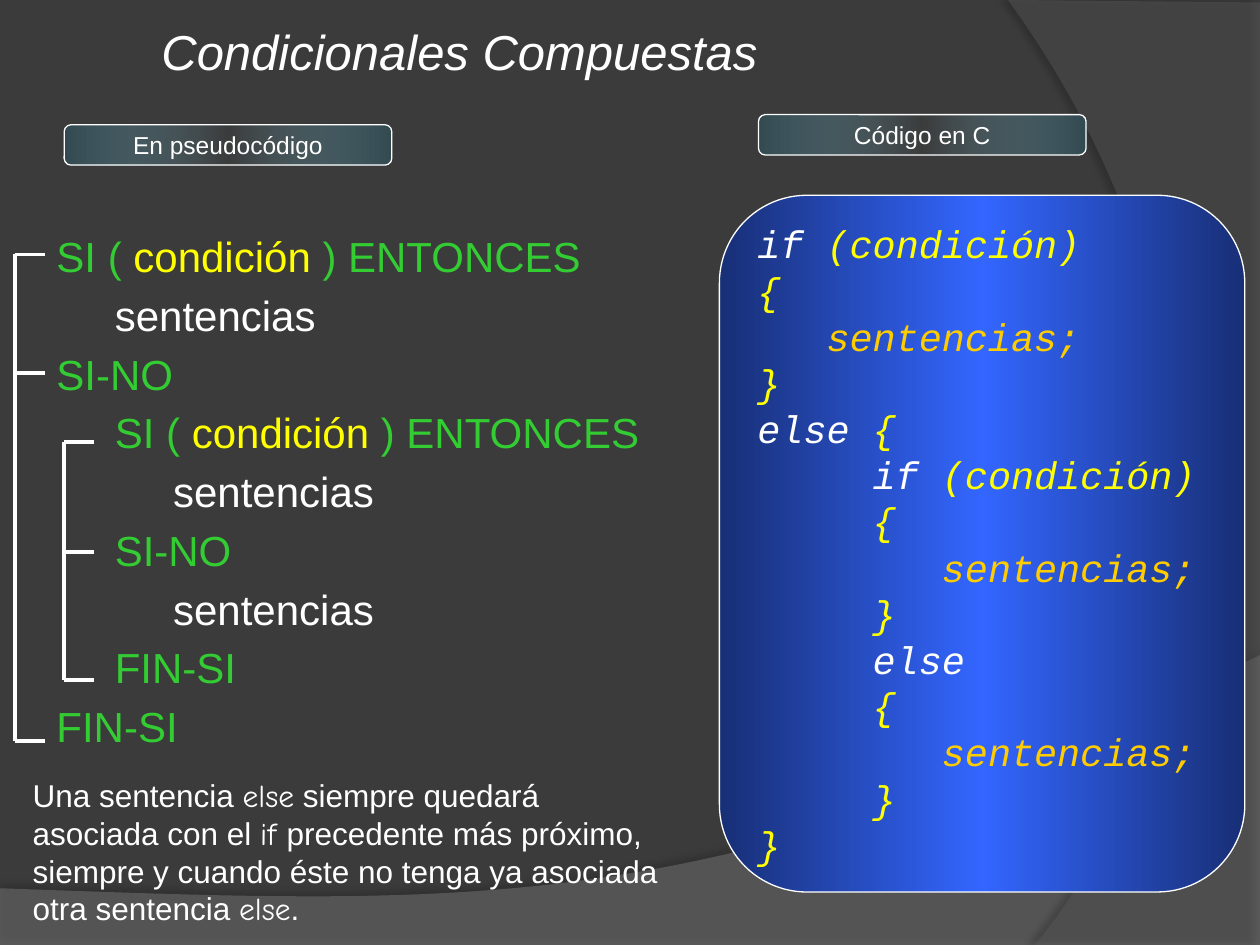
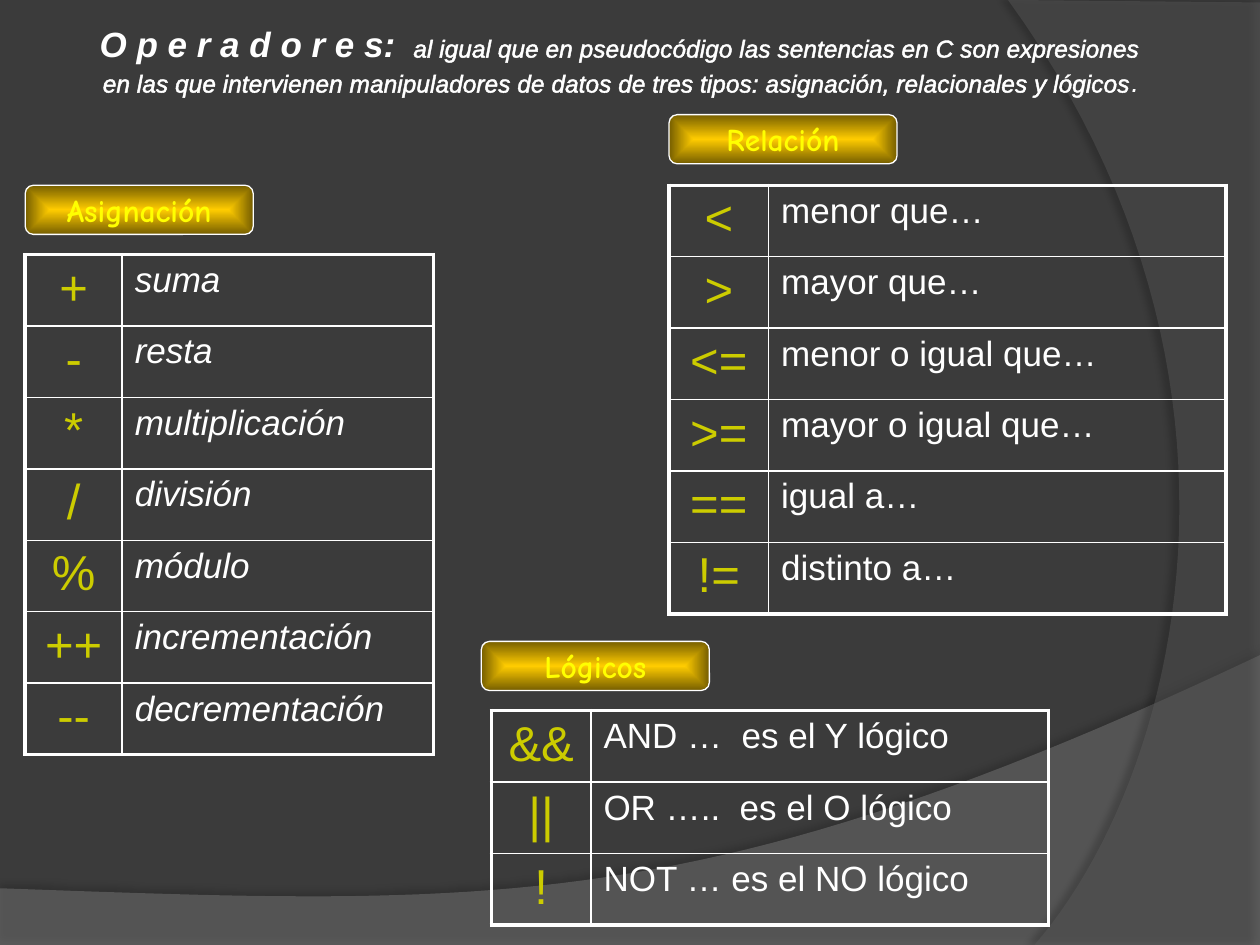
from pptx import Presentation
from pptx.dml.color import RGBColor
from pptx.enum.shapes import MSO_CONNECTOR, MSO_SHAPE
from pptx.enum.text import MSO_ANCHOR, PP_ALIGN
from pptx.oxml import parse_xml
from pptx.oxml.ns import nsdecls, qn
from pptx.util import Inches, Pt

WHITE, GREEN, YELLOW, AMBER, OLIVE = "FFFFFF", "33CC33", "FFFF00", "FFCC00", "CCCC00"
TEAL = [(0, "334A51", 100), (50, "6EA0B0", 0), (100, "334A51", 100)]
BLUE = [(0, "182F76", 100), (50, "3366FF", 100), (100, "182F76", 100)]
GOLD = [(0, "FFCC00", 100), (100, "765E00", 100)]
COLUMNS, ROWS = 100, 75
LEFT, CENTER, RIGHT = PP_ALIGN.LEFT, PP_ALIGN.CENTER, PP_ALIGN.RIGHT


def rgb(color):
    return RGBColor.from_string(color)


def xml(tag, attrs="", body=""):
    return parse_xml(f"<a:{tag} {nsdecls('a')} {attrs}>{body}</a:{tag}>")


def color_xml(color, alpha=100):
    return f'<a:srgbClr val="{color}"><a:alpha val="{alpha * 1000}"/></a:srgbClr>'


def add_text(p, text, size=18, color=WHITE, font="Arial", bold=False, italic=False, outline=0):
    for i, part in enumerate(text.split("\n")):
        if i:
            p.add_line_break()
        r = p.add_run()
        r.text = part
        r.font.size, r.font.name = Pt(size), font
        r.font.bold, r.font.italic = bold, italic
        r.font.color.rgb = rgb(color)
        if outline:
            fill = f"<a:solidFill>{color_xml(color)}</a:solidFill>"
            r.font._element.insert(0, xml("ln", f'w="{Pt(outline)}"', fill))


def curve(a, b, c, d, steps=48):
    for i in range(steps + 1):
        t = i / steps
        u = 1 - t
        yield tuple(u**3 * e + 3 * u * u * t * f + 3 * u * t * t * g + t**3 * h
                    for e, f, g, h in zip(a, b, c, d))


class Deck:
    def __init__(self):
        self.prs = Presentation()
        self.prs.slide_width, self.prs.slide_height = Inches(10), Inches(7.5)
        self.col = self.prs.slide_width / COLUMNS
        self.row = self.prs.slide_height / ROWS
        fill = self.prs.slide_master.background.fill
        fill.solid()
        fill.fore_color.rgb = rgb("3B3B3B")
        self.new_slide()
        self.band([(0, 75), (100, 75), *curve((100, 52), (55.9, 72.9), (39.1, 71.9), (0, 70.5))],
                  "7F7F7F", 45, 35, 3.5, 270)
        self.band([(100, 0.2), (100, 75), *curve((82.1, 75), (93.5, 61.9), (101.8, 30), (80, 0))],
                  "5E5E5E", 40, 45, 4, 180)

    def new_slide(self):
        self.s = self.prs.slides.add_slide(self.prs.slide_layouts[6])

    def place(self, *lengths):
        return [round(n * (self.row if i % 2 else self.col)) for i, n in enumerate(lengths)]

    def band(self, points, color, alpha, shade, distance, angle):
        points = [self.place(*point) for point in points]
        builder = self.s.shapes.build_freeform(*points[0])
        builder.add_line_segments(points[1:])
        sp = builder.convert_to_shape()
        sp.fill.solid()
        sp.fill.fore_color.rgb = rgb(color)
        sp.fill._xPr.find(qn("a:solidFill"))[0].append(xml("alpha", f'val="{alpha * 1000}"'))
        sp.line.fill.background()
        shadow = (f'<a:outerShdw blurRad="{Pt(4)}" dist="{Pt(distance)}" dir="{angle * 60000}" '
                  f'rotWithShape="0">{color_xml("000000", shade)}</a:outerShdw>')
        sp.element.spPr.append(xml("effectLst", body=shadow))
        self.prs.slide_master.element.cSld.spTree.append(sp.element)

    def paragraph(self, tf, runs, align=LEFT, indent=0, hanging=0, before=0, **style):
        p = tf.paragraphs[0]
        if p.runs:
            p = tf.add_paragraph()
        p.alignment = align
        if before:
            p.space_before = Pt(before)
        if indent or hanging:
            pPr = p._p.get_or_add_pPr()
            pPr.set("marL", str(round((indent + hanging) * self.col)))
            pPr.set("indent", str(round(-hanging * self.col)))
        for text, extra in runs:
            add_text(p, text, **{**style, **extra})

    def text(self, box, anchor=MSO_ANCHOR.TOP):
        tf = self.s.shapes.add_textbox(*self.place(*box)).text_frame
        tf.word_wrap = True
        tf.vertical_anchor = anchor
        return tf

    def panel(self, box, stops, radial=False):
        sp = self.s.shapes.add_shape(MSO_SHAPE.ROUNDED_RECTANGLE, *self.place(*box))
        sp.shadow.inherit = False
        sp.line.color.rgb = rgb(WHITE)
        sp.line.width = Pt(0.75)
        marks = "".join(f'<a:gs pos="{pos * 1000}">{color_xml(color, alpha)}</a:gs>'
                        for pos, color, alpha in stops)
        edge = 'l="50000" t="50000" r="50000" b="50000"'
        way = (f'<a:path path="shape"><a:fillToRect {edge}/></a:path>' if radial
               else '<a:lin ang="0" scaled="1"/>')
        sp.element.spPr.find(qn("a:prstGeom")).addnext(
            xml("gradFill", 'rotWithShape="1"', f"<a:gsLst>{marks}</a:gsLst>{way}"))
        tf = sp.text_frame
        tf.word_wrap = True
        tf.vertical_anchor = MSO_ANCHOR.MIDDLE
        return tf

    def label(self, x, y, text):
        tf = self.panel((x, y, 26, 3.2), TEAL)
        self.paragraph(tf, [(text, {})], align=CENTER, size=14)

    def badge(self, x, y, text):
        tf = self.panel((x, y, 18.1, 3.9), GOLD, radial=True)
        self.paragraph(tf, [(text, {})], align=CENTER, size=18, font="Comic Neue",
                       bold=True, color=YELLOW)

    def line(self, x1, y1, x2, y2):
        c = self.s.shapes.add_connector(MSO_CONNECTOR.STRAIGHT, *self.place(x1, y1, x2, y2))
        c.line.color.rgb = rgb(WHITE)
        c.line.width = Pt(2.25)
        c._element.spPr.append(xml("effectLst"))

    def bracket(self, x, *ticks):
        self.line(x, ticks[0], x, ticks[-1])
        for y in ticks:
            self.line(x, y, x + 2.35, y)

    def table(self, x, y, widths, entries, italic=False):
        n, height = len(entries), 5.67
        shape = self.s.shapes.add_table(n, 2, *self.place(x, y, sum(widths), n * height))
        t = shape.table
        t.first_row = t.horz_banding = False
        for column, width in zip(t.columns, widths):
            column.width = round(width * self.col)
        for i, entry in enumerate(entries):
            t.rows[i].height = round(height * self.row)
            for j, text in enumerate(entry):
                cell = t.cell(i, j)
                style = (dict(size=20, italic=italic, before=4) if j
                         else dict(size=28, color=OLIVE, align=CENTER, before=5.6))
                self.paragraph(cell.text_frame, [(text, {})], **style)
                cell.fill.background()
                outer = {"L": j == 0, "R": j == 1, "T": i == 0, "B": i == n - 1}
                for k, (side, thick) in enumerate(outer.items()):
                    fill = f"<a:solidFill>{color_xml(WHITE)}</a:solidFill>"
                    width = Pt(2.25 if thick else 1)
                    cell._tc.get_or_add_tcPr().insert(k, xml(f"ln{side}", f'w="{width}"', fill))


def conditionals(deck):
    deck.label(5.1, 9.9, "En pseudocódigo")
    deck.label(60.2, 9.1, "Código en C")
    tf = deck.text((5.1, 2.1, 62.7, 3.9), MSO_ANCHOR.MIDDLE)
    deck.paragraph(tf, [("Condicionales Compuestas", {})], align=CENTER, size=28, italic=True)

    green, yellow, amber, plain = ({"color": c} for c in (GREEN, YELLOW, AMBER, WHITE))
    condition = [("SI ( ", green), ("condición", yellow), (" ) ENTONCES", green)]
    body, otherwise, end = [("sentencias", plain)], [("SI-NO", green)], [("FIN-SI", green)]
    tf = deck.text((3.5, 17.8, 50.4, 53.5))
    for level, runs in [(0, condition), (1, body), (0, otherwise), (1, condition), (2, body),
                        (1, otherwise), (2, body), (1, end), (0, end)]:
        deck.paragraph(tf, runs, indent=4.63 * level, hanging=3.8, before=4.8, size=24)
    deck.bracket(1.2, 20.2, 29.6, 58.8)
    deck.bracket(5.1, 35.1, 43.8, 54)

    test = [("if ", plain), ("(condición)", yellow)]
    opening, closing = [("{", yellow)], [("}", yellow)]
    statement, other = [("sentencias;", amber)], [("else", plain)]
    tf = deck.panel((57.1, 15.5, 41.7, 55.3), BLUE)
    for spaces, runs in [(0, test), (0, opening), (3, statement), (0, closing),
                         (0, [("else ", plain), ("{", yellow)]),
                         (5, test), (5, opening), (8, statement), (5, closing),
                         (5, other), (5, opening), (8, statement), (5, closing), (0, closing)]:
        deck.paragraph(tf, runs, indent=1.83 * spaces, size=22, font="Courier New", italic=True)

    comic = {"font": "Comic Neue"}
    tf = deck.text((1.6, 61.1, 52.8, 16.2 - 2.3))
    deck.paragraph(tf, [
        ("Una sentencia ", {}), ("else", comic), (" siempre quedará asociada con el ", {}),
        ("if ", comic), ("precedente más próximo, siempre y cuando éste no tenga ya asociada "
                         "otra sentencia ", {}), ("else", comic), (".", {})])


def operators(deck):
    deck.new_slide()
    deck.table(2, 20.2, (7.7, 24.7), [
        ("+", "suma"), ("-", "resta"), ("*", "multiplicación"), ("/", "división"),
        ("%", "módulo"), ("++", "incrementación"), ("--", "decrementación")], italic=True)
    deck.table(53.1, 14.7, (7.9, 36.3), [
        ("<", "menor que…"), (">", "mayor que…"), ("<=", "menor o igual que…"),
        (">=", "mayor o igual que…"), ("==", "igual a…"), ("!=", "distinto a…")])
    deck.table(39, 56.4, (7.9, 36.3), [
        ("&&", "AND …  es el Y lógico"), ("||", "OR …..  es el O lógico"),
        ("!", "NOT … es el NO lógico")])
    deck.badge(2, 14.7, "Asignación")
    deck.badge(38.2, 50.9, "Lógicos")
    deck.badge(53.1, 9.1, "Relación")
    tf = deck.text((2.6, 1.3, 89.4, 6.8))
    deck.paragraph(tf, [
        ("O p e r a d o r e s: ", {"size": 20, "bold": True}), (" ", {"size": 16}),
        ("al igual que en pseudocódigo las sentencias en C son expresiones \n"
         "en las que intervienen manipuladores de datos de tres tipos: "
         "asignación, relacionales y lógicos", {"size": 14, "outline": 1.45}),
        (". ", {"size": 16})], align=RIGHT, italic=True)


deck = Deck()
conditionals(deck)
operators(deck)
deck.prs.save("out.pptx")
